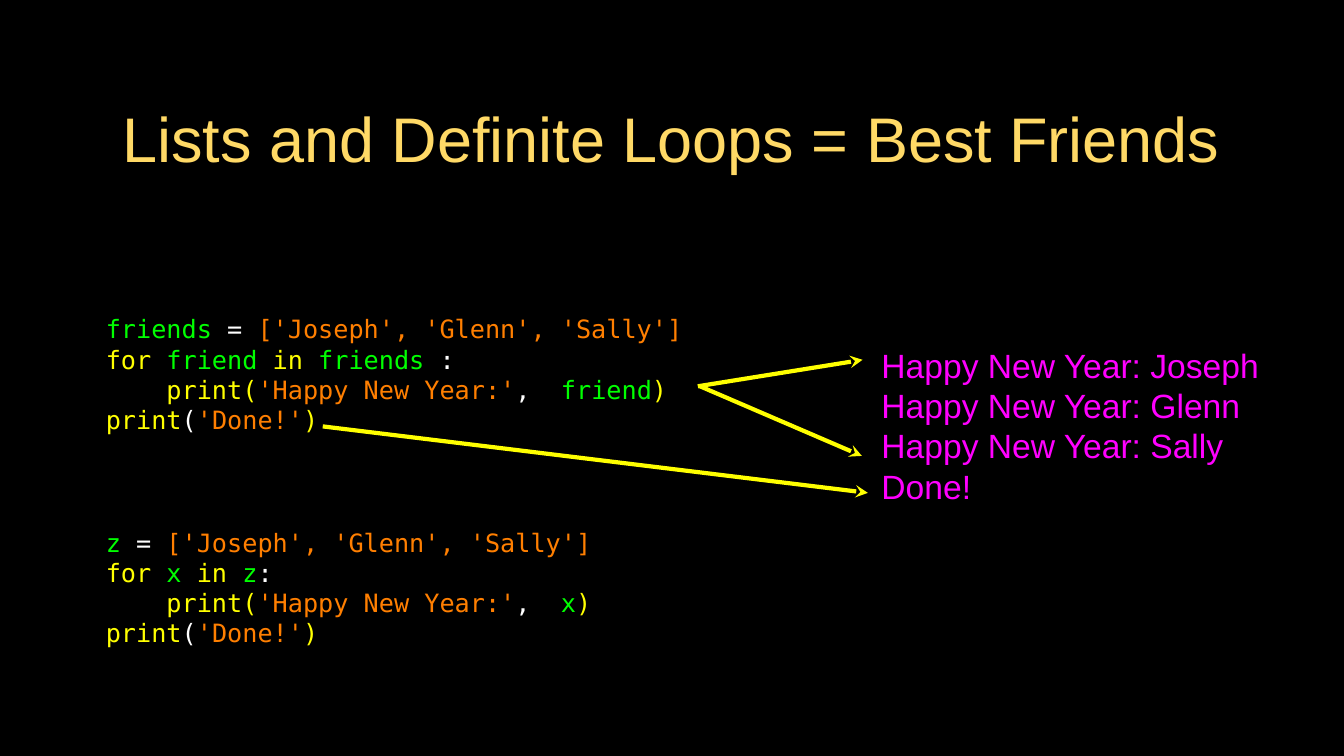
from dataclasses import dataclass

from lxml.etree import SubElement
from pptx import Presentation
from pptx.dml.color import RGBColor
from pptx.enum.shapes import MSO_CONNECTOR
from pptx.enum.text import MSO_ANCHOR, PP_ALIGN
from pptx.oxml.ns import qn
from pptx.util import Pt


@dataclass
class Theme:
    back: str = "000000"
    gold: str = "FFD966"
    name: str = "00FF00"
    word: str = "FFFF00"
    data: str = "FF7F00"
    mark: str = "FFFFFF"
    result: str = "FF00FF"
    sans: str = "Arial"
    mono: str = "DejaVu Sans Mono"
    title: int = 60
    body: int = 32
    code: int = 24
    line: int = 4
    lead: float = 1.2
    tab: float = 57.8


def apply(item, form):
    for key, value in form.items():
        setattr(item, key, value)


class Deck:
    def __init__(self, theme, width, height):
        self.theme = theme
        self.file = Presentation()
        apply(self.file, {"slide_width": Pt(width), "slide_height": Pt(height)})
        self.slide = self.file.slides.add_slide(self.file.slide_layouts[6])
        fill = self.slide.background.fill
        fill.solid()
        fill.fore_color.rgb = RGBColor.from_string(theme.back)

    def text(self, place, rows, font, size, align=PP_ALIGN.LEFT):
        box = self.slide.shapes.add_textbox(*map(Pt, place))
        frame = box.text_frame
        apply(frame, {
            "word_wrap": True, "vertical_anchor": MSO_ANCHOR.MIDDLE,
            "margin_left": 0, "margin_right": 0,
            "margin_top": 0, "margin_bottom": 0,
        })
        for index, (tabs, runs) in enumerate(rows):
            para = frame.add_paragraph() if index else frame.paragraphs[0]
            apply(para, {
                "alignment": align,
                "line_spacing": Pt(size * self.theme.lead),
            })
            if tabs:
                indent = Pt(tabs * self.theme.tab)
                para._p.get_or_add_pPr().set("marL", str(indent))
            for words, tint in runs:
                run = para.add_run()
                run.text = words
                apply(run.font, {"name": font, "size": Pt(size)})
                run.font.color.rgb = RGBColor.from_string(
                    getattr(self.theme, tint))

    def code(self, place, group, item, gap):
        rows = [
            (0, [(group, "name"), (" = ", "mark"),
                 ("['Joseph', 'Glenn', 'Sally']", "data")]),
            (0, [("for ", "word"), (item + " ", "name"), ("in ", "word"),
                 (group + gap, "name"), (":", "mark")]),
            (1, [("print(", "word"), ("'Happy New Year:'", "data"),
                 (",  ", "mark"), (item, "name"), (")", "word")]),
            (0, [("print", "word"), ("(", "mark"),
                 ("'Done!'", "data"), (")", "word")]),
        ]
        self.text(place, rows, self.theme.mono, self.theme.code)

    def arrow(self, tip, start):
        link = self.slide.shapes.add_connector(
            MSO_CONNECTOR.STRAIGHT, *map(Pt, tip + start))
        link.line.width = Pt(self.theme.line)
        link.line.color.rgb = RGBColor.from_string(self.theme.word)
        SubElement(link.line._get_or_add_ln(), qn("a:headEnd"), type="stealth")
        SubElement(link._element.spPr, qn("a:effectLst"))


theme = Theme()
deck = Deck(theme, 1280, 720)
deck.text((90.7, 61.9, 1097.3, 137.5),
          [(0, [("Lists and Definite Loops = Best Friends", "gold")])],
          theme.sans, theme.title, PP_ALIGN.CENTER)

deck.code((100.8, 269.3, 573, 174.2), "friends", "friend", " ")

lines = [f"Happy New Year: {name}" for name in ("Joseph", "Glenn", "Sally")]
deck.text((839.5, 319, 389.5, 172),
          [(0, [(line, "result")]) for line in lines + ["Done!"]],
          theme.sans, theme.body)

for tip, start in (
    ((821.5, 342.7), (664.6, 367.9)),
    ((820.8, 434.2), (666.7, 367.9)),
    ((826.6, 469.4), (307.4, 406.1)),
):
    deck.arrow(tip, start)

deck.code((100.8, 472.3, 573, 174.2), "z", "x", "")
deck.file.save("out.pptx")
